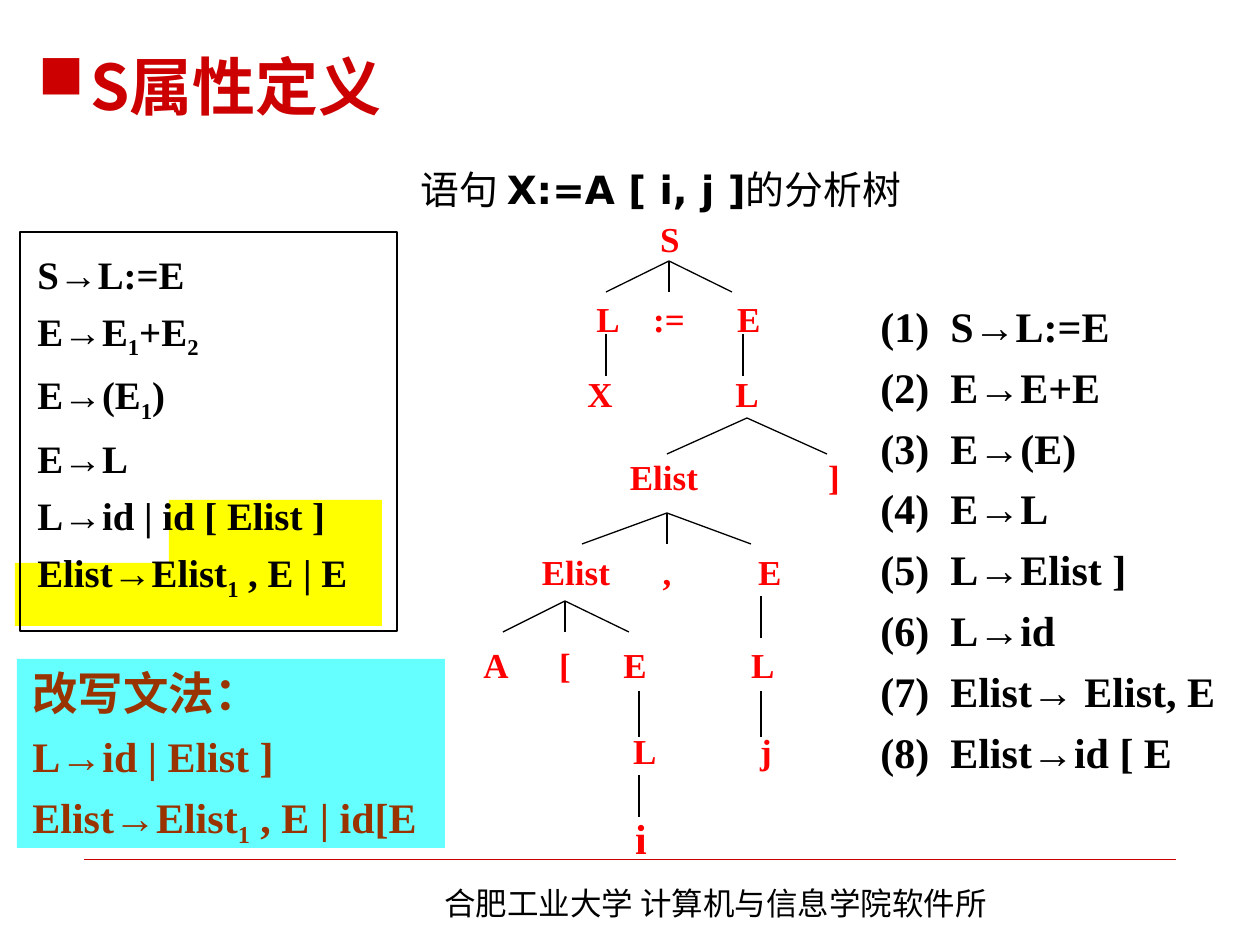
from itertools import groupby

from lxml import etree
from pptx import Presentation
from pptx.dml.color import RGBColor
from pptx.enum.shapes import MSO_CONNECTOR, MSO_SHAPE
from pptx.enum.text import MSO_ANCHOR, MSO_AUTO_SIZE, PP_ALIGN
from pptx.oxml.ns import qn
from pptx.util import Pt

RECT = MSO_SHAPE.RECTANGLE
LINE = MSO_CONNECTOR.STRAIGHT
LEFT, MID = PP_ALIGN.LEFT, PP_ALIGN.CENTER
TOP, CORE, BASE = MSO_ANCHOR.TOP, MSO_ANCHOR.MIDDLE, MSO_ANCHOR.BOTTOM
FIXED = MSO_AUTO_SIZE.NONE
BLACK = RGBColor(0, 0, 0)
RED = RGBColor(0xFF, 0, 0)
CRIMSON = RGBColor(0xCC, 0, 0)
BROWN = RGBColor(0x99, 0x33, 0)
YELLOW = RGBColor(0xFF, 0xFF, 0)
CYAN = RGBColor(0x66, 0xFF, 0xFF)
TIMES, ARIAL, NOTO, DEJAVU = "Times New Roman", "Arial", "Noto Sans CJK SC", "DejaVu Sans"

RULES = ["S→L:=E", "E→E1+E2", "E→(E1)", "E→L", "L→id | id [ Elist ]", "Elist→Elist1 , E | E"]
NEW = ["L→id | Elist ]", "Elist→Elist1 , E | id[E"]
STEPS = ["S→L:=E", "E→E+E", "E→(E)", "E→L", "L→Elist ]", "L→id", "Elist→ Elist, E", "Elist→id [ E"]
ROWS = [
    (239, [("S", 670)]),
    (318, [("L", 608), (":=", 669), ("E", 749)]),
    (393, [("X", 600), ("L", 747)]),
    (476, [("Elist", 664), ("]", 834)]),
    (571, [("Elist", 576), (",", 667), ("E", 770)]),
    (664, [("A", 496), ("[", 565), ("E", 635), ("L", 763)]),
    (750, [("L", 645), ("j", 766)]),
    (838, [("i", 641)]),
]
FANS = [
    (669, 261, 292, [606, 669, 732]),
    (606, 334, 376, [606]),
    (743, 334, 376, [743]),
    (747, 418, 454, [667, 827]),
    (667, 513, 544, [582, 667, 751]),
    (565, 601, 632, [503, 565, 629]),
    (761, 596, 638, [761]),
    (639, 691, 737, [639]),
    (761, 691, 737, [761]),
    (639, 775, 817, [639]),
]


def px(num):
    """Turn pixels into EMU."""
    return round(num * 914400 / 126)


def add_rect(slide, box, fill=None):
    """Add a filled rectangle, or a black frame when no fill is given."""
    shape = slide.shapes.add_shape(RECT, *map(px, box))
    shape.shadow.inherit = False
    if fill is None:
        shape.fill.background()
        shape.line.color.rgb = BLACK
        shape.line.width = Pt(0.75)
    else:
        shape.fill.solid()
        shape.fill.fore_color.rgb = fill
        shape.line.fill.background()


def add_line(slide, ends, color=BLACK, width=0.75):
    """Add a straight line without shadow."""
    line = slide.shapes.add_connector(LINE, *map(px, ends))
    line.line.color.rgb = color
    line.line.width = Pt(width)
    etree.SubElement(line._element.spPr, qn("a:effectLst"))


def add_box(slide, box, anchor=TOP):
    """Add an empty wrapping text box and return its frame."""
    frame = slide.shapes.add_textbox(*map(px, box)).text_frame
    frame.word_wrap = True
    frame.vertical_anchor = anchor
    return frame


def style(para, size, color, name=TIMES, bold=True):
    """Set the font of a paragraph."""
    font = para.font
    font.size, font.bold, font.name = Pt(size), bold, name
    font.color.rgb = color


def hang(para, num):
    """Give a paragraph a hanging indent and return its properties."""
    props = para._p.get_or_add_pPr()
    props.set("marL", str(px(num)))
    props.set("indent", str(-px(num)))
    return props


def kind(char):
    """Name the run kind of a grammar character."""
    return "arrow" if char == "→" else "sub" if char.isdigit() else "plain"


def add_rule(para, text):
    """Write a grammar rule with its arrow and subscripts."""
    for sort, chars in groupby(text, kind):
        run = para.add_run()
        run.text = "".join(chars)
        if sort == "arrow":
            run.font.name = ARIAL
        elif sort == "sub":
            run._r.get_or_add_rPr().set("baseline", "-25000")


def add_rules(frame, rules, size, color):
    """Fill a frame with one grammar rule per paragraph."""
    for rule in rules:
        para = frame.paragraphs[0]
        if para.runs:
            para = frame.add_paragraph()
            para.space_before = Pt(6)
        add_rule(para, rule)
        style(para, size, color)


def add_steps(slide):
    """List the numbered productions."""
    frame = add_box(slide, (868, 294, 367, 506))
    for num, step in enumerate(STEPS, 1):
        para = frame.paragraphs[0] if num == 1 else frame.add_paragraph()
        para.text = f"({num})\t{step}"
        hang(para, 70)
        if num > 1:
            para.space_before = Pt(6)
        style(para, 24, BLACK)


def add_title(slide):
    """Set the bulleted title."""
    title = slide.shapes.title
    title.left, title.top, title.width, title.height = map(px, (25, 45, 1187, 84))
    frame = title.text_frame
    frame.auto_size, frame.vertical_anchor = FIXED, BASE
    para = frame.paragraphs[0]
    para.text = "S属性定义"
    para.alignment = LEFT
    props = hang(para, 53)
    tint = etree.SubElement(props, qn("a:buClr"))
    etree.SubElement(tint, qn("a:srgbClr"), val=str(CRIMSON))
    etree.SubElement(props, qn("a:buChar"), char="■")
    style(para, 36, CRIMSON, NOTO)


def add_head(slide):
    """Write the caption above the tree."""
    para = add_box(slide, (408, 165, 688, 63)).paragraphs[0]
    para.line_spacing = 0.9
    parts = [("语句 ", NOTO, False), ("X:=A [ i, j ]", DEJAVU, True), ("的分析树", NOTO, False)]
    for text, name, bold in parts:
        run = para.add_run()
        run.text = text
        run.font.name, run.font.bold = name, bold
    para.font.size = Pt(22.2)
    para.font.color.rgb = BLACK


def add_tree(slide):
    """Draw the parse tree."""
    for mid, nodes in ROWS:
        for text, x in nodes:
            para = add_box(slide, (x - 50, mid - 28, 100, 56), CORE).paragraphs[0]
            para.text = text
            para.alignment = MID
            style(para, 24 if text == "i" else 20, RED)
    for x, top, low, ends in FANS:
        for end in ends:
            add_line(slide, (x, top, end, low))


def add_foot(slide):
    """Draw the footer line and its text."""
    add_line(slide, (84, 859, 1176, 859), CRIMSON, 0.25)
    para = add_box(slide, (432, 878, 635, 50)).paragraphs[0]
    para.text = "合肥工业大学 计算机与信息学院软件所"
    style(para, 18, BLACK, NOTO, False)


def main():
    """Build the slide."""
    deck = Presentation()
    deck.slide_width, deck.slide_height = px(1260), px(945)
    slide = deck.slides.add_slide(deck.slide_layouts[5])
    add_foot(slide)
    add_rect(slide, (17, 659, 428, 189), CYAN)
    add_rect(slide, (15, 563, 367, 63), YELLOW)
    add_rect(slide, (169, 500, 213, 63), YELLOW)
    add_title(slide)
    add_rules(add_box(slide, (25, 244, 363, 377)), RULES, 22.2, BLACK)
    add_head(slide)
    add_rect(slide, (20, 232, 377, 399))
    frame = add_box(slide, (20, 659, 420, 210))
    frame.text = "改写文法："
    add_rules(frame, NEW, 24, BROWN)
    style(frame.paragraphs[0], 26, BROWN)
    add_tree(slide)
    add_steps(slide)
    deck.save("out.pptx")


if __name__ == "__main__":
    main()
